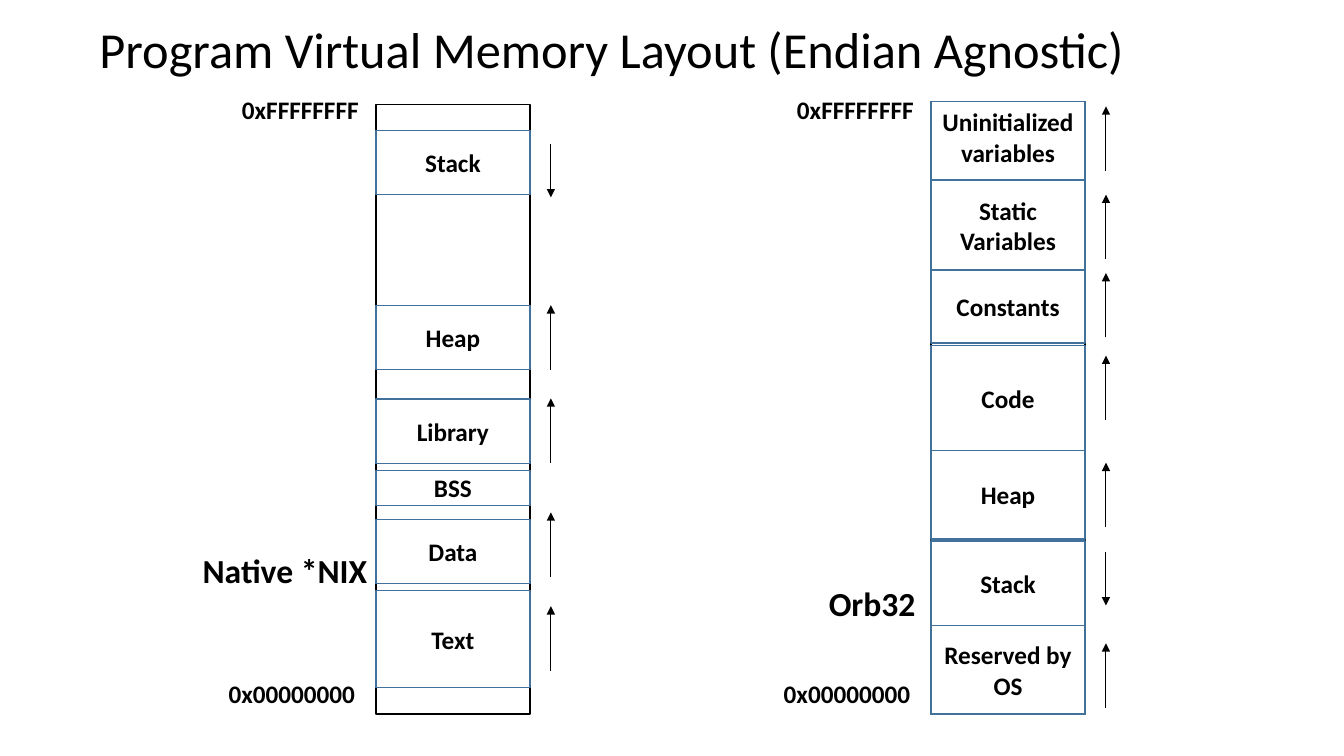
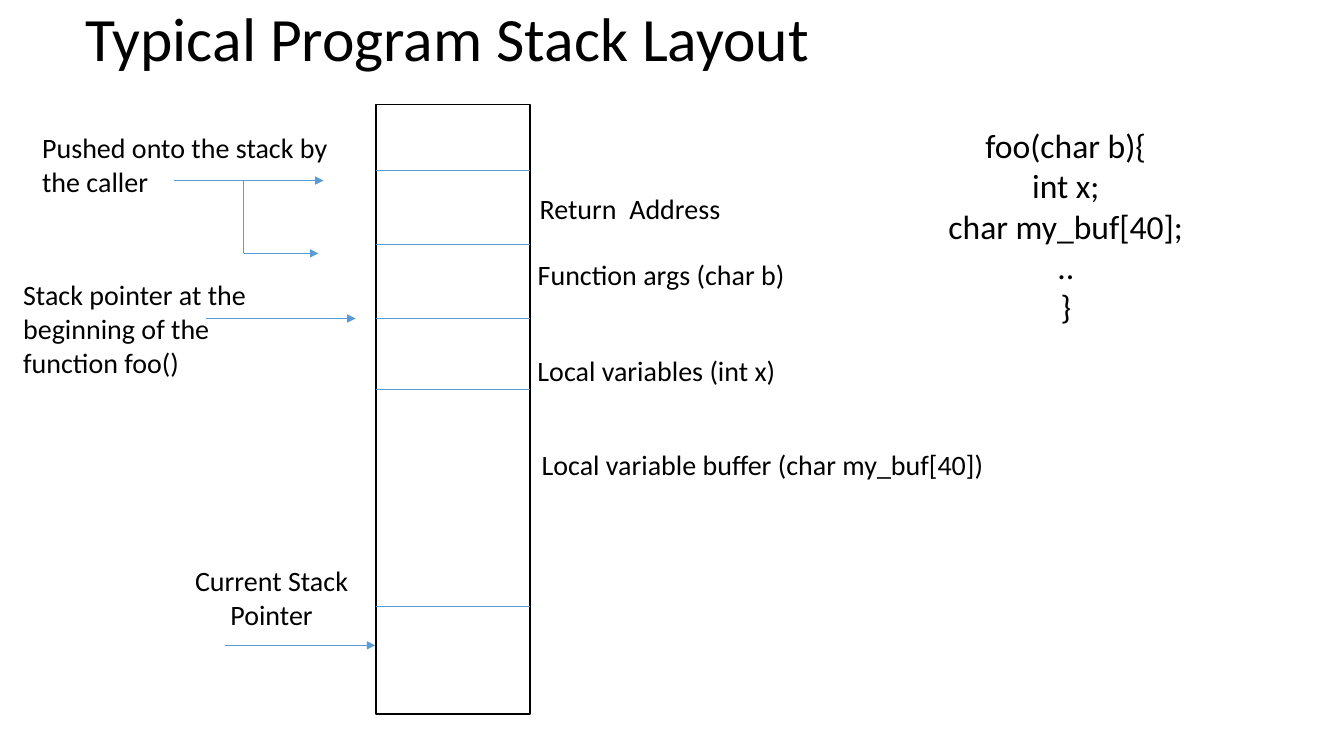
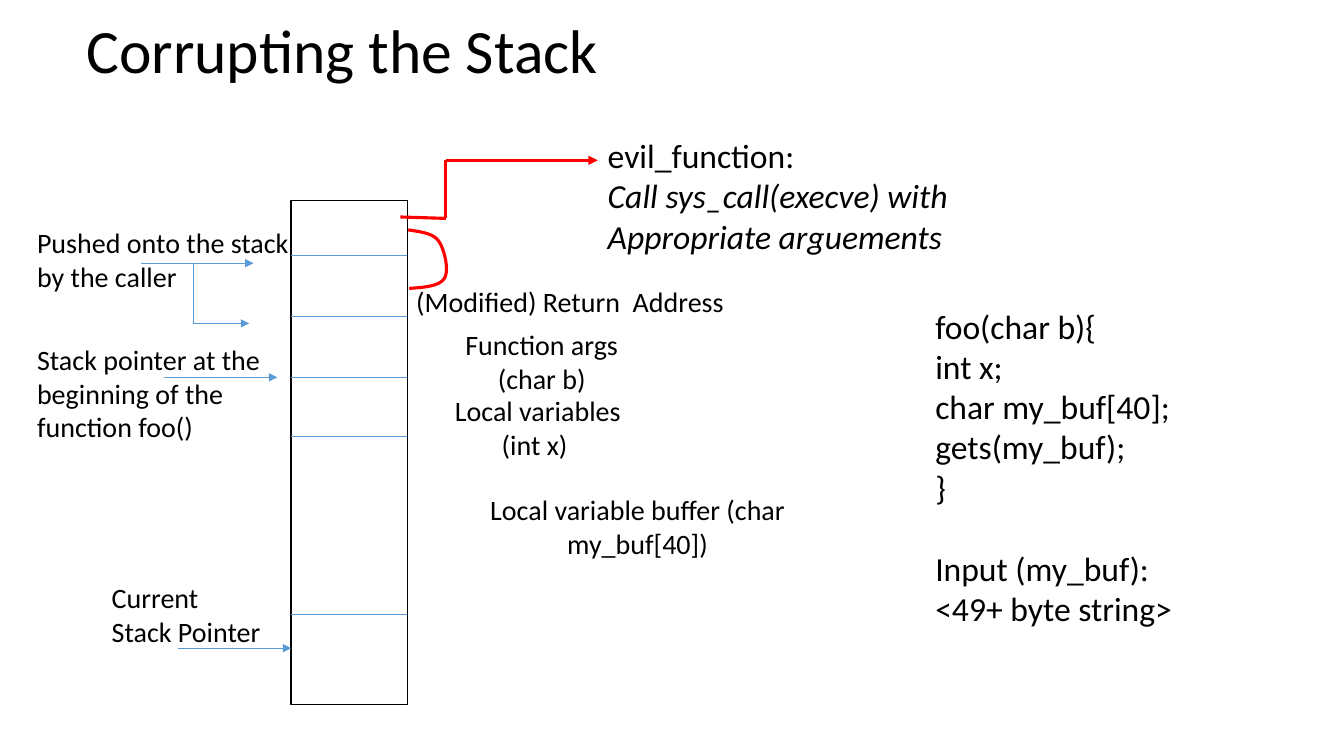
from dataclasses import dataclass

from lxml import etree
from pptx import Presentation
from pptx.dml.color import RGBColor
from pptx.enum.shapes import MSO_CONNECTOR, MSO_SHAPE
from pptx.enum.text import MSO_ANCHOR, PP_ALIGN
from pptx.oxml.ns import qn
from pptx.util import Pt

STRAIGHT = MSO_CONNECTOR.STRAIGHT
RECTANGLE = MSO_SHAPE.RECTANGLE
TOP, MIDDLE = MSO_ANCHOR.TOP, MSO_ANCHOR.MIDDLE
LEFT, CENTER = PP_ALIGN.LEFT, PP_ALIGN.CENTER


@dataclass(frozen=True)
class Theme:
    """Colours, type sizes and line widths shared by the slides."""

    font: str = "Calibri"
    black: RGBColor = RGBColor(0, 0, 0)
    white: RGBColor = RGBColor(255, 255, 255)
    region: RGBColor = RGBColor(0x42, 0x71, 0x9B)
    blue: RGBColor = RGBColor(0x5B, 0x9B, 0xD5)
    red: RGBColor = RGBColor(255, 0, 0)
    title: int = 44
    long_title: int = 36
    code: int = 24
    note: int = 20
    small: int = 18
    outline: float = 1
    thin: float = 0.75
    thick: float = 2.25


THEME = Theme()


def apply_format(target, values):
    """Set every attribute named in values on the target."""
    for name, value in values.items():
        setattr(target, name, value)


def write_lines(frame, lines, size, align=LEFT, bold=False, italic_from=None, gaps=None, spacing=None):
    """Write one paragraph per line in the shared font."""
    gaps = gaps or {}
    for index, line in enumerate(lines):
        paragraph = frame.add_paragraph() if index else frame.paragraphs[0]
        apply_format(paragraph, {"alignment": align, "line_spacing": spacing,
                                 "space_before": Pt(gaps.get(index, 0))})
        run = paragraph.add_run()
        italic = italic_from is not None and index >= italic_from
        apply_format(run, {"text": line})
        apply_format(run.font, {"name": THEME.font, "size": Pt(size), "bold": bold, "italic": italic})
        run.font.color.rgb = THEME.black


def add_text(slide, box, lines, size, wrap=True, anchor=TOP, **style):
    """Add a text box holding the given lines."""
    frame = slide.shapes.add_textbox(*map(Pt, box)).text_frame
    apply_format(frame, {"word_wrap": wrap, "vertical_anchor": anchor})
    write_lines(frame, lines, size, **style)


def add_title(slide, left, top, height, text, size=THEME.title):
    """Add the slide title."""
    add_text(slide, (left, top, 828, height), [text], size, anchor=MIDDLE, spacing=0.9)


def add_label(slide, box, text, size=THEME.small, bold=True):
    """Add a centred label on a single line."""
    add_text(slide, box, [text], size, wrap=False, align=CENTER, bold=bold)


def add_box(slide, box, color, lines=(), anchor=MIDDLE):
    """Add a white outlined rectangle with centred bold text."""
    shape = slide.shapes.add_shape(RECTANGLE, *map(Pt, box))
    shape.shadow.inherit = False
    shape.fill.solid()
    shape.fill.fore_color.rgb = THEME.white
    shape.line.color.rgb = color
    shape.line.width = Pt(THEME.outline)
    apply_format(shape.text_frame, {"word_wrap": True, "vertical_anchor": anchor})
    write_lines(shape.text_frame, lines, THEME.small, align=CENTER, bold=True)


def add_line(slide, start, end, color=THEME.blue, width=THEME.thin, arrow=False):
    """Add a straight line, with a triangle at its end when it is an arrow."""
    connector = slide.shapes.add_connector(STRAIGHT, *map(Pt, (*start, *end)))
    connector.line.color.rgb = color
    connector.line.width = Pt(width)
    properties = connector.line._get_or_add_ln()
    if arrow:
        etree.SubElement(properties, qn("a:tailEnd"), type="triangle")
    etree.SubElement(connector._element.spPr, qn("a:effectLst"))


def add_curve(slide, start, segments, color, steps=12):
    """Add an open outline through cubic segments."""
    points, origin = [], start
    for first, second, end in segments:
        for step in range(1, steps + 1):
            t = step / steps
            weights = ((1 - t) ** 3, 3 * t * (1 - t) ** 2, 3 * t * t * (1 - t), t ** 3)
            knots = (origin, first, second, end)
            points.append(tuple(Pt(sum(w * knot[axis] for w, knot in zip(weights, knots)))
                                for axis in (0, 1)))
        origin = end
    builder = slide.shapes.build_freeform(*map(Pt, start))
    builder.add_line_segments(points, close=False)
    shape = builder.convert_to_shape()
    shape.shadow.inherit = False
    shape.fill.background()
    shape.line.color.rgb = color
    shape.line.width = Pt(THEME.thick)


def add_memory_map(slide, left, top, name, name_box, regions):
    """Add an address space with its regions and growth arrows."""
    width, bottom = 110, 510
    add_box(slide, (left, top, width, bottom - top), THEME.black)
    for lines, region_top, height, growth, anchor in regions:
        add_box(slide, (left, region_top, width, height), THEME.region, lines, anchor)
        if growth:
            x = left + 125
            add_line(slide, (x, growth[0]), (x, growth[1]), THEME.black, arrow=True)
    add_label(slide, (left - 103.5, 64, 99, 29), "0xFFFFFFFF")
    add_label(slide, (left - 113, 481, 106, 29), "0x00000000")
    add_label(slide, name_box, name, THEME.code)


def add_stack(slide, box, dividers, arrows, trunk):
    """Add a program stack with its dividers and pointer arrows."""
    left, width = box[0], box[2]
    add_box(slide, box, THEME.black)
    for y in dividers:
        add_line(slide, (left, y), (left + width, y))
    for start, end, y in arrows:
        add_line(slide, (start, y), (end, y), arrow=True)
    x, upper, lower = trunk
    add_line(slide, (x, lower), (x, upper))


def build_memory_slide(slide):
    """Compare two virtual memory layouts."""
    add_title(slide, 64, 5.8, 62.6, "Program Virtual Memory Layout (Endian Agnostic)", THEME.long_title)
    add_memory_map(slide, 268.5, 74.5, "Native *NIX", (137, 389, 133, 36), [
        (["Stack"], 93, 46, (103, 141), MIDDLE),
        (["Heap"], 218, 46, (264, 218), MIDDLE),
        (["Library"], 285, 46, (330.5, 284.5), MIDDLE),
        (["BSS"], 336, 25, None, MIDDLE),
        (["Data"], 371, 46, (412, 366), MIDDLE),
        (["Text"], 422, 69, (479, 433), MIDDLE),
    ])
    add_memory_map(slide, 665, 72.7, "Orb32", (583, 412.6, 80, 36), [
        (["Uninitialized", "variables"], 72.7, 56, (122, 76), TOP),
        (["Static Variables"], 129, 64, (185, 139), MIDDLE),
        (["Constants"], 193, 52, (241, 195), MIDDLE),
        (["Code"], 247, 75, (300, 254), MIDDLE),
        (["Heap"], 322, 63, (376.5, 330.5), MIDDLE),
        (["Stack"], 386.5, 61, (394, 432.5), MIDDLE),
        (["Reserved by OS"], 447, 63, (505.5, 459.5), MIDDLE),
    ])


def build_stack_slide(slide):
    """Show the stack frame of a function."""
    add_title(slide, 54, 0, 59, "Typical Program Stack Layout")
    add_stack(slide, (268.5, 74.5, 110, 435.5), (122, 175, 227.5, 278.5, 433),
              [(160.5, 268, 461), (147, 254, 227.5), (124.5, 231, 129), (174, 227.5, 181)],
              (174, 129, 181))
    for left, top, width, text in [
        (377.3, 133.2, 145.4, "Return  Address"),
        (375.8, 180.7, 193, "Function args (char b)"),
        (375.8, 249.1, 190.8, "Local variables (int x) "),
        (375.1, 316.1, 339.1, "Local variable buffer (char my_buf[40])"),
    ]:
        add_label(slide, (left, top, width, 31.5), text, THEME.note, bold=False)
    add_text(slide, (663.8, 85.7, 195, 152.6),
             ["foo(char b){", "int x;", "char my_buf[40];", "..", "}"], THEME.code, align=CENTER)
    add_text(slide, (124.5, 399, 139, 55.5), ["Current Stack Pointer"], THEME.note, align=CENTER)
    add_text(slide, (9.4, 195, 276, 80),
             ["Stack pointer at the", "beginning of the", "function foo()"], THEME.note)
    add_text(slide, (23, 90, 276, 55.5), ["Pushed onto the stack by", "the caller"], THEME.note)


def build_corruption_slide(slide):
    """Show an overflow that redirects the return address."""
    add_title(slide, 54.7, 8.6, 59, "Corrupting the Stack")
    add_text(slide, (661, 214.6, 299, 240),
             ["foo(char b){", "int x;", "char my_buf[40];", "gets(my_buf);", "}",
              "Input (my_buf):", "<49+ byte string>"], THEME.code, gaps={5: 29})
    add_stack(slide, (208, 143.3, 83, 360), (182.5, 226, 269.5, 312, 439),
              [(127.5, 208, 463), (117.5, 198, 269.5), (101, 181, 188), (138, 178, 231)],
              (138, 188, 231))
    add_label(slide, (288.7, 199.4, 237, 31.5), "(Modified) Return  Address", THEME.note, bold=False)
    for left, top, width, text in [
        (314.6, 230.4, 144.7, "Function args (char b)"),
        (312.5, 277.5, 143.3, "Local variables (int x) "),
        (328.3, 348.5, 254.2, "Local variable buffer (char my_buf[40])"),
    ]:
        add_text(slide, (left, top, width, 26), [text], THEME.note, align=CENTER)
    for left, top, width, lines in [
        (72.7, 411.1, 160.6, ["Current", "Stack Pointer"]),
        (19.4, 241.2, 206.6, ["Stack pointer at the", "beginning of the", "function foo()"]),
        (19.4, 157.7, 206.6, ["Pushed onto the stack by the caller"]),
    ]:
        add_text(slide, (left, top, width, 57), lines, THEME.note)
    add_text(slide, (427, 92.9, 348.5, 124),
             ["evil_function:", "Call sys_call(execve) with", "Appropriate arguements"],
             THEME.code, italic_from=1)
    corner, joint = (318.5, 114.5), (318.5, 156)
    add_line(slide, corner, (427, 114.5), THEME.red, THEME.thick, arrow=True)
    add_line(slide, corner, joint, THEME.red, THEME.thick)
    add_line(slide, joint, (286, 155), THEME.red, THEME.thick)
    add_curve(slide, (292.3, 206), [
        ((303, 205.2), (314, 204.5), (317.5, 198.7)),
        ((321, 193), (317.5, 177.8), (313.2, 172)),
        ((309, 166.3), (300, 165.6), (291.6, 164.2)),
    ], THEME.red)


def main():
    """Build the presentation."""
    presentation = Presentation()
    apply_format(presentation, {"slide_width": Pt(960), "slide_height": Pt(540)})
    for build in (build_memory_slide, build_stack_slide, build_corruption_slide):
        build(presentation.slides.add_slide(presentation.slide_layouts[6]))
    presentation.save("out.pptx")


if __name__ == "__main__":
    main()
